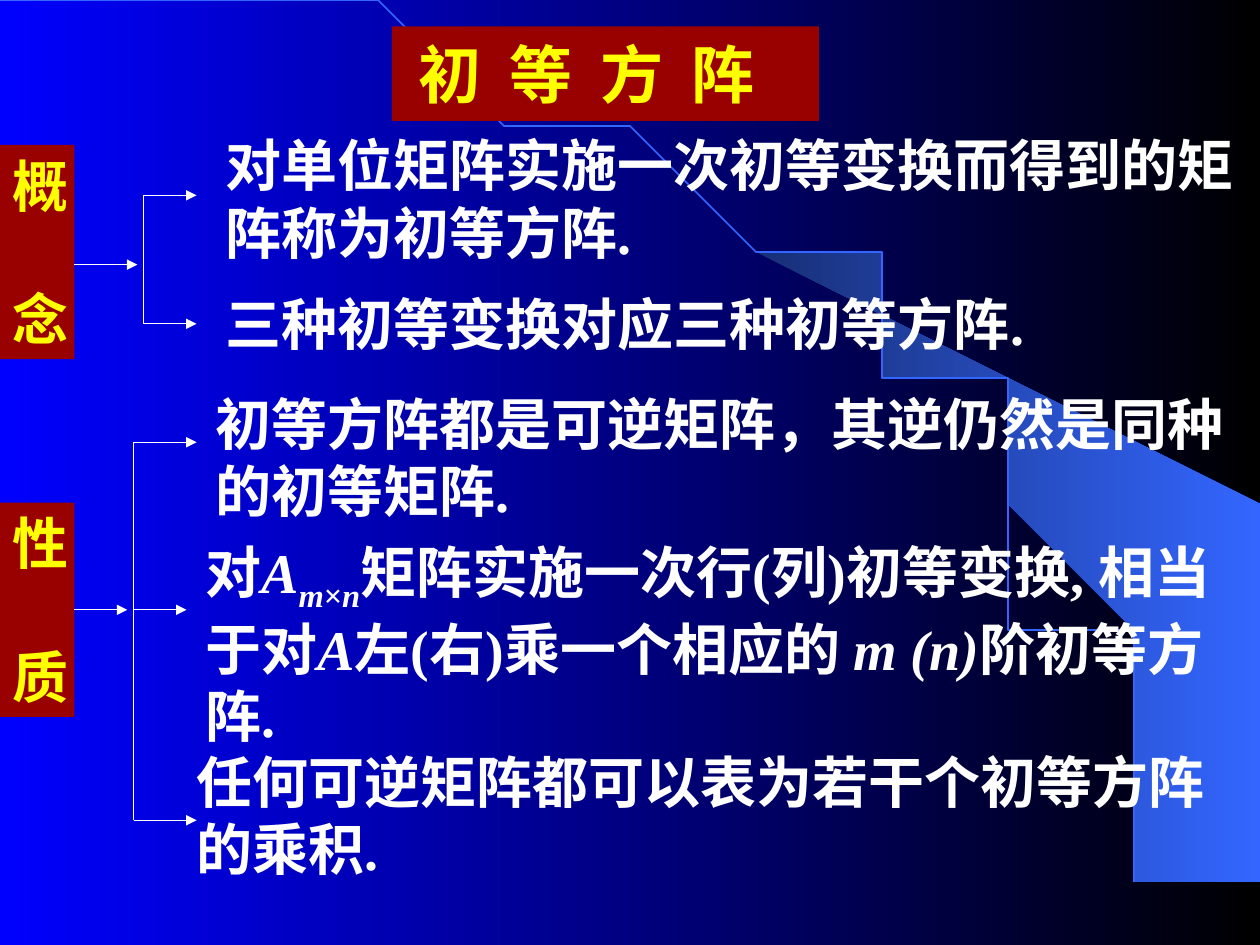
from lxml import etree
from pptx import Presentation
from pptx.dml.color import RGBColor
from pptx.enum import shapes, text
from pptx.oxml.ns import qn
from pptx.util import Inches, Pt

BODY_FONT = "Times New Roman"
WHITE, YELLOW, RED, BLUE = "FFFFFF", "FFFF00", "990000", "3366FF"

SWOOSH = [
    (9.2, 7.48), (9.99, 7.49), (9.99, 4.23), (5.89, 1.73), (6.24, 1.99),
    (6.53, 2.22), (6.85, 2.5), (7.16, 2.8), (7.62, 3.3), (8.03, 3.84),
    (8.32, 4.31), (8.58, 4.79), (8.78, 5.28), (8.93, 5.72), (9.03, 6.09),
    (9.13, 6.56), (9.17, 6.96),
]
ARC_CONTROLS = [(0, 0), (5.08, 0), (9.2, 3.35), (9.2, 7.49)]

STATEMENTS = [
    (1.69, 0.99, 8.31, 1.17, ["对单位矩阵实施一次初等变换而得到的矩阵称为初等方阵."]),
    (1.69, 2.25, 7.64, 0.64, ["三种初等变换对应三种初等方阵."]),
    (1.61, 3.04, 8.23, 1.17, ["初等方阵都是可逆矩阵，其逆仍然是同种的初等矩阵."]),
    (1.53, 4.22, 8.31, 1.78, [
        "对", ("A", "i"), ("m", "i_"), ("×", "_"), ("n", "i_"),
        "矩阵实施一次行(列)初等变换, 相当于对", ("A", "i"),
        "左(右)乘一个相应的 ", ("m (n)", "i"), "阶初等方阵."]),
    (1.46, 5.88, 8.39, 1.17, ["任何可逆矩阵都可以表为若干个初等方阵的乘积."]),
]


def color(value):
    return RGBColor.from_string(value)


def inches(*values):
    return [Inches(value) for value in values]


def fill_gradient(fill, start, end):
    fill.gradient()
    fill.gradient_angle = 0
    for stop, value in zip(fill.gradient_stops, (start, end)):
        stop.color.rgb = color(value)


def add_text(para, content, font=BODY_FONT, size=32, fill=WHITE,
             italic=False, subscript=False, spacing=None):
    span = para.add_run()
    span.text = content
    span.font.name = font
    span.font.size = Pt(size)
    span.font.bold = True
    span.font.italic = italic
    span.font.color.rgb = color(fill)
    properties = span.font._element
    if subscript:
        properties.set("baseline", "-25000")
    if spacing:
        properties.set("spc", str(spacing * 100))


def add_outline(page, points, closed):
    builder = page.shapes.build_freeform(*points[0], scale=Inches(1))
    builder.add_line_segments(points[1:], close=closed)
    shape = builder.convert_to_shape()
    shape.shadow.inherit = False
    return shape


def curve_points(controls, steps=48):
    """Sample a cubic Bezier curve."""
    for step in range(steps + 1):
        t = step / steps
        weights = ((1 - t) ** 3, 3 * t * (1 - t) ** 2, 3 * t * t * (1 - t), t ** 3)
        yield tuple(sum(w * point[axis] for w, point in zip(weights, controls))
                    for axis in (0, 1))


def add_backdrop(page):
    fill_gradient(page.background.fill, "0000FF", "000000")
    swoosh = add_outline(page, SWOOSH, closed=True)
    fill_gradient(swoosh.fill, "182F76", BLUE)
    swoosh.line.fill.background()
    arc = add_outline(page, list(curve_points(ARC_CONTROLS)), closed=False)
    arc.fill.background()
    arc.line.color.rgb = color(BLUE)
    arc.line.width = Pt(1)


def add_title(page):
    title = page.shapes.title
    title.left, title.top, title.width, title.height = inches(3.11, 0.21, 3.39, 0.75)
    title.fill.solid()
    title.fill.fore_color.rgb = color(RED)
    frame = title.text_frame
    frame.auto_size = text.MSO_AUTO_SIZE.NONE
    frame.vertical_anchor = text.MSO_ANCHOR.MIDDLE
    frame.margin_left = Inches(0.21)
    para = frame.paragraphs[0]
    para.alignment = text.PP_ALIGN.LEFT
    add_text(para, "初 等 方 阵", font="Arial", size=36, fill=YELLOW, spacing=4)
    # Bring the title in front of the backdrop
    title.element.getparent().append(title.element)


def add_label(page, top, characters):
    """Add a red side label with one character per line."""
    box = page.shapes.add_shape(shapes.MSO_SHAPE.RECTANGLE, *inches(0, top, 0.59, 1.7))
    box.shadow.inherit = False
    box.fill.solid()
    box.fill.fore_color.rgb = color(RED)
    box.line.fill.background()
    frame = box.text_frame
    frame.word_wrap = True
    frame.vertical_anchor = text.MSO_ANCHOR.TOP
    for index, character in enumerate(characters):
        para = frame.add_paragraph() if index else frame.paragraphs[0]
        para.alignment = text.PP_ALIGN.LEFT
        if index:
            para.space_before = Pt(38)
        add_text(para, character, fill=YELLOW)
    return box


def add_statement(page, left, top, width, height, parts):
    box = page.shapes.add_textbox(*inches(left, top, width, height))
    frame = box.text_frame
    frame.word_wrap = True
    para = frame.paragraphs[0]
    for part in parts:
        content, style = (part, "") if isinstance(part, str) else part
        add_text(para, content, italic="i" in style, subscript="_" in style)


def add_line(page, x1, y1, x2, y2, arrow=True):
    line = page.shapes.add_connector(
        shapes.MSO_CONNECTOR.STRAIGHT, *inches(x1, y1, x2, y2))
    line.line.color.rgb = color(WHITE)
    line.line.width = Pt(0.75)
    if arrow:
        etree.SubElement(line.line._get_or_add_ln(), qn("a:tailEnd"), type="triangle")
    etree.SubElement(line.element.spPr, qn("a:effectLst"))
    return line


def add_bracket(page, x, tips):
    """Add a vertical spine with one arrow for each (x, y) tip."""
    add_line(page, x, tips[0][1], x, tips[-1][1], arrow=False)
    for tip_x, y in tips:
        add_line(page, x, y, tip_x, y)


def main():
    deck = Presentation()
    deck.slide_width, deck.slide_height = inches(10, 7.5)
    page = deck.slides.add_slide(deck.slide_layouts.get_by_name("Title Only"))
    add_backdrop(page)
    add_title(page)
    add_label(page, 1.15, "概念")
    properties_label = add_label(page, 3.99, "性质")
    for statement in STATEMENTS:
        add_statement(page, *statement)
    add_line(page, 0.59, 2.1, 1.09, 2.1)
    add_bracket(page, 1.14, [(1.56, 1.55), (1.56, 2.57)])
    add_line(page, 0.59, 4.84, 1.01, 4.84).begin_connect(properties_label, 3)
    add_bracket(page, 1.06, [(1.56, 3.51), (1.48, 4.84), (1.56, 6.51)])
    deck.save("out.pptx")


if __name__ == "__main__":
    main()
